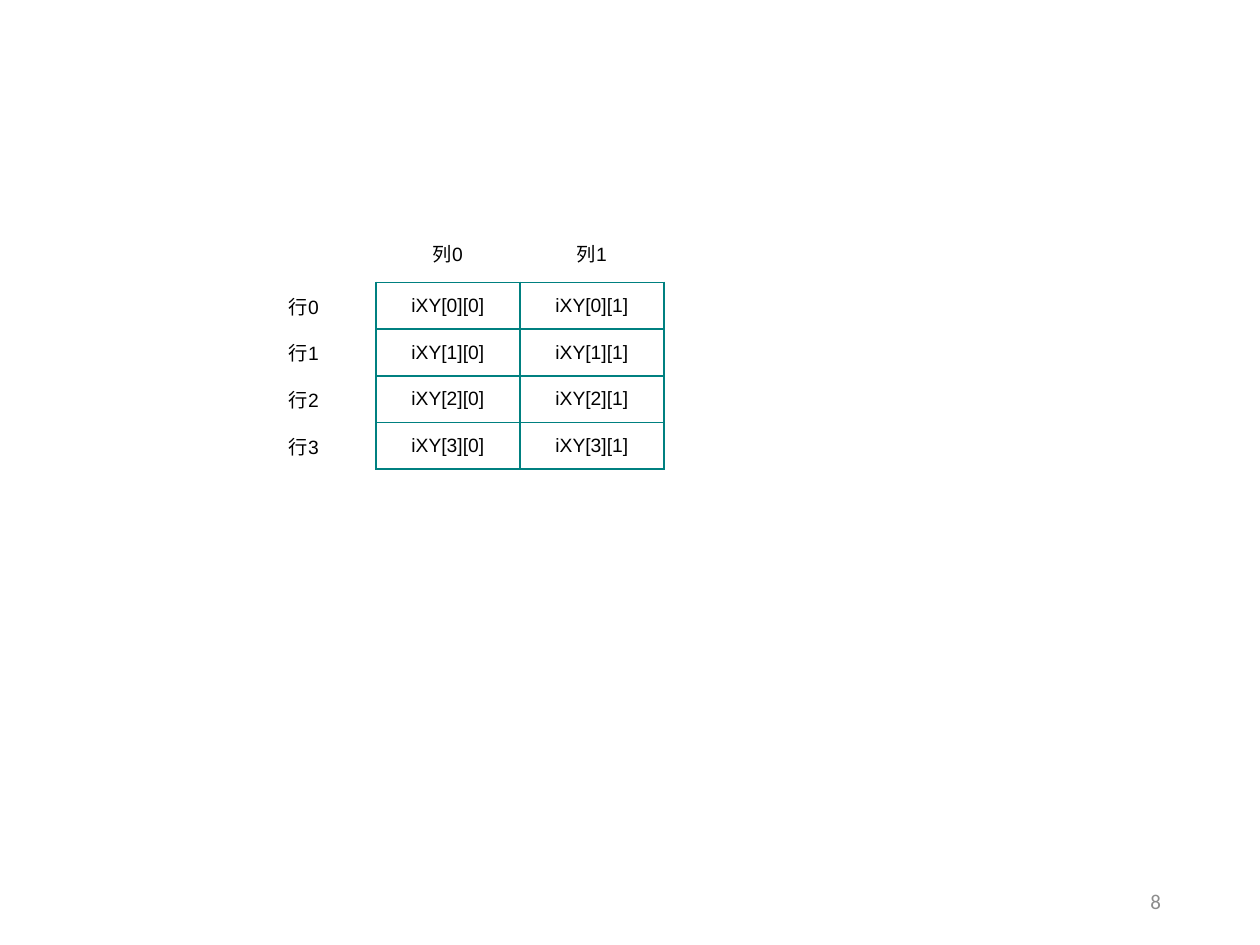
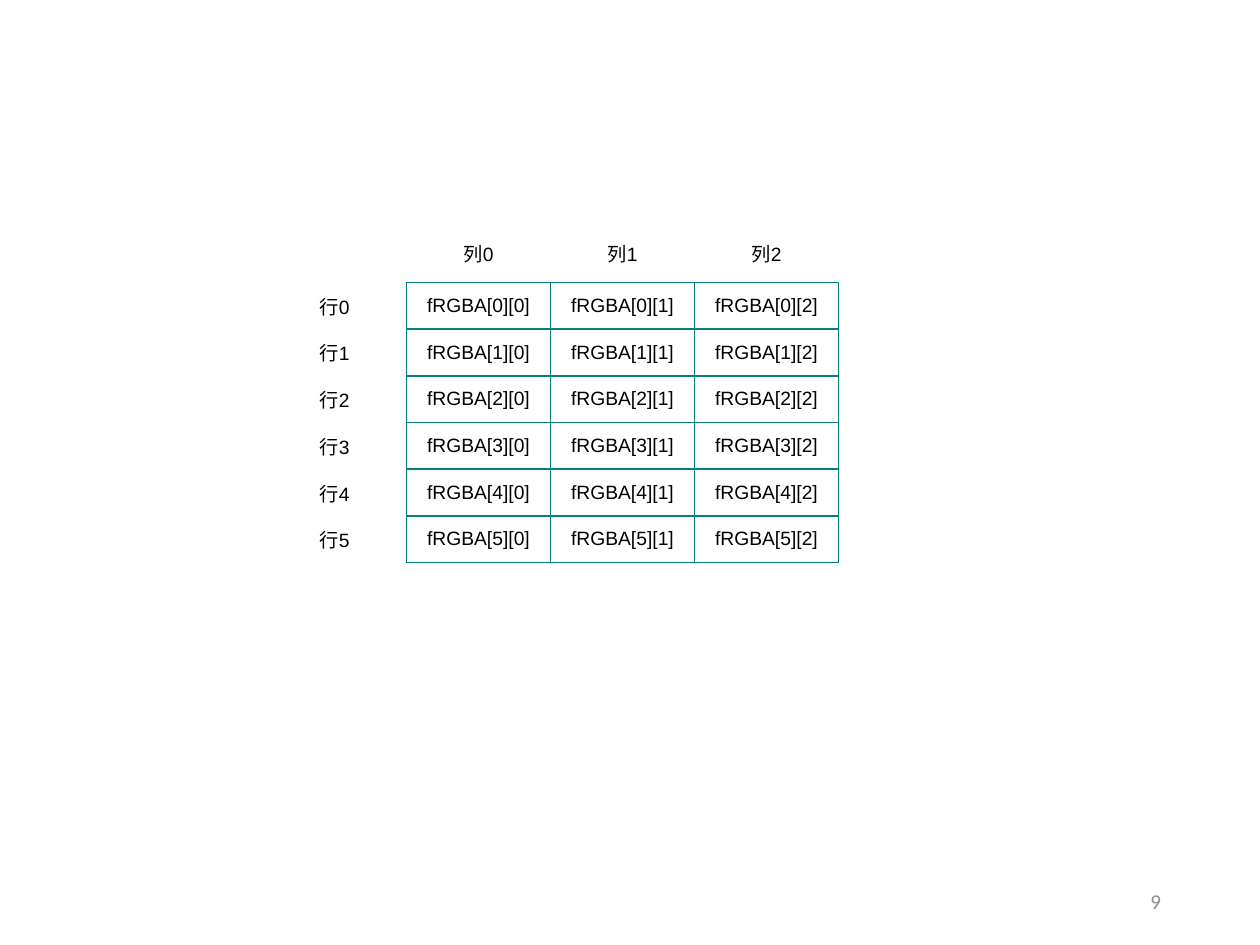
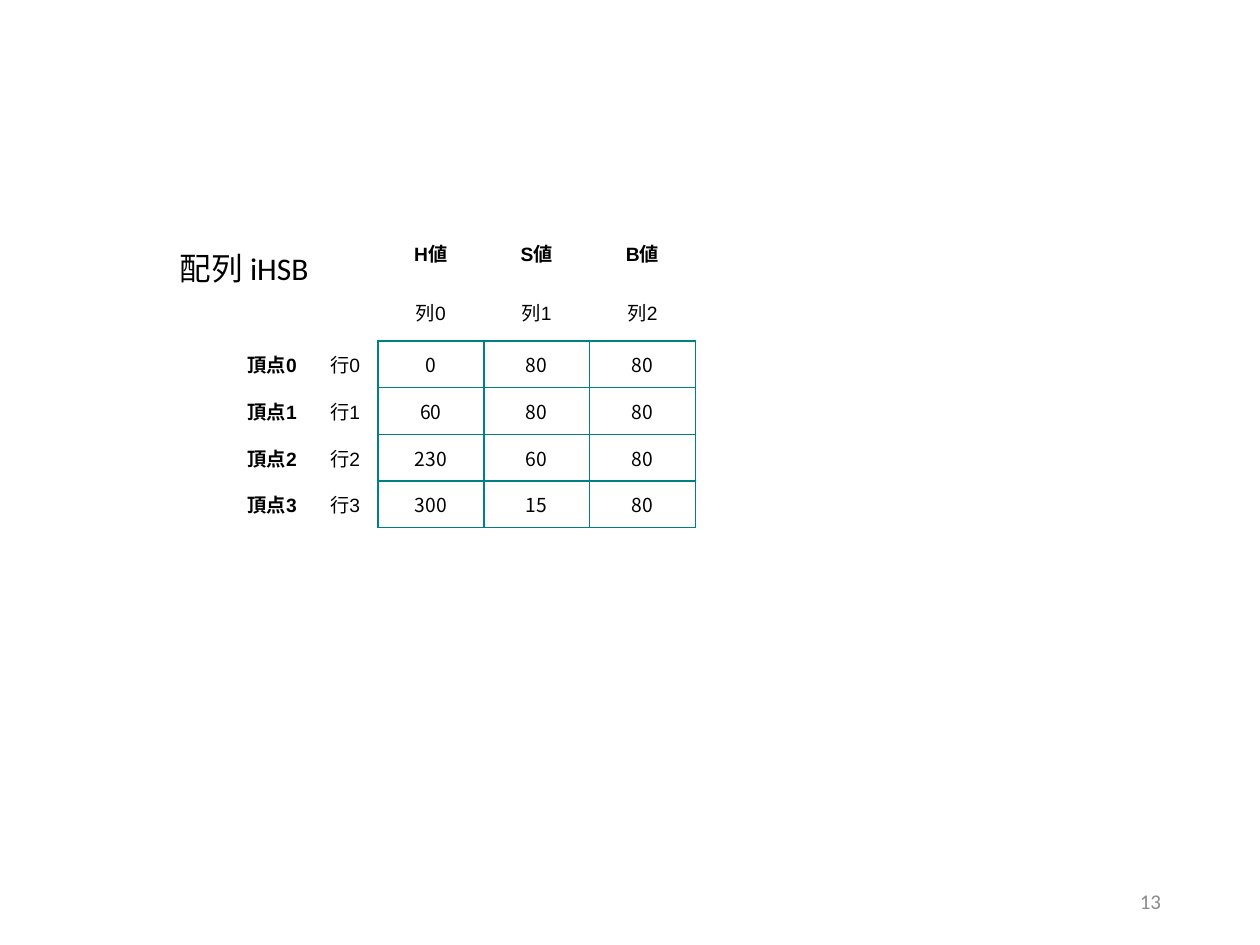
from dataclasses import dataclass
from lxml.etree import SubElement as Sub
from pptx import Presentation
from pptx.dml.color import RGBColor as Rgb
from pptx.enum.text import MSO_ANCHOR as Anchor, MSO_AUTO_SIZE as Fit, PP_ALIGN as Align
from pptx.oxml.ns import qn
from pptx.util import Pt


@dataclass(frozen=True)
class Theme:
    ink: str = "000000"
    gray: str = "8C8C8C"
    teal: str = "008080"
    sans: str = "Arial"
    body: str = "Calibri"
    asian: str = "Noto Sans CJK JP"
    cell: float = 11
    page: float = 12
    head: float = 18
    rule: float = 1


theme = Theme()


def write(frame, text, face, size, color, align, bold=False):
    para = frame.paragraphs[0]
    para.text = text
    para.alignment = align
    font = para.font
    font.name, font.size, font.bold = face, Pt(size), bold
    font.color.rgb = Rgb.from_string(color)
    Sub(para._p.pPr.find(qn("a:defRPr")), qn("a:ea"), typeface=theme.asian)


def edge(cell, side, drawn):
    line = Sub(cell._tc.get_or_add_tcPr(), qn("a:ln" + side), w=str(Pt(theme.rule)))
    if drawn:
        fill = Sub(line, qn("a:solidFill"))
        Sub(fill, qn("a:srgbClr"), val=theme.teal)
    else:
        Sub(line, qn("a:noFill"))


grids = []
for page, name, left, rows, cols in [(8, "iXY", 132.5, 4, 2), (9, "fRGBA", 150, 6, 3)]:
    cells = [[""] + [f"列{c}" for c in range(cols)]]
    for r in range(rows):
        cells.append([f"行{r}"] + [f"{name}[{r}][{c}]" for c in range(cols)])
    grids.append((page, left, [82.3] * (cols + 1), 1, 1, cells, theme.sans))

colors = [(0, 80, 80), (60, 80, 80), (230, 60, 80), (300, 15, 80)]
cells = [["", "", "H値", "S値", "B値"], ["", ""] + [f"列{c}" for c in range(3)]]
for r, color in enumerate(colors):
    cells.append([f"頂点{r}", f"行{r}"] + [str(v) for v in color])
grids.append((13, 132.5, [46, 37.5] + [60.5] * 3, 2, 2, cells, theme.asian))

deck = Presentation()
deck.slide_width, deck.slide_height = Pt(720), Pt(540)

for page, left, widths, top, side, cells, face in grids:
    slide = deck.slides.add_slide(deck.slide_layouts[6])
    box = slide.shapes.add_textbox(Pt(508.5), Pt(500.5), Pt(162), Pt(28.75))
    box.text_frame.word_wrap = True
    box.text_frame.vertical_anchor = Anchor.MIDDLE
    write(box.text_frame, str(page), theme.body, theme.page, theme.gray, Align.RIGHT)

    high = [33.4] * top + [26.7] * (len(cells) - top)
    table = slide.shapes.add_table(
        len(high), len(widths), Pt(left), Pt(128), Pt(sum(widths)), Pt(sum(high))
    ).table
    table.first_row = table.horz_banding = False
    for col, width in zip(table.columns, widths):
        col.width = Pt(width)
    for row, height in zip(table.rows, high):
        row.height = Pt(height)

    for r, line in enumerate(cells):
        for c, text in enumerate(line):
            cell = table.cell(r, c)
            data = r >= top and c >= side
            edge(cell, "L", data)
            edge(cell, "R", r >= top and c >= side - 1)
            edge(cell, "T", data)
            edge(cell, "B", r >= top - 1 and c >= side)
            cell.fill.background()
            cell.vertical_anchor = Anchor.MIDDLE
            cell.margin_left = cell.margin_right = Pt(3)
            bold = r < top - 1 or c < side - 1
            write(cell.text_frame, text, face if data else theme.sans,
                  theme.cell, theme.ink, Align.CENTER, bold)

box = slide.shapes.add_textbox(Pt(95.75), Pt(139), Pt(98), Pt(29))
box.text_frame.word_wrap = True
box.text_frame.auto_size = Fit.SHAPE_TO_FIT_TEXT
write(box.text_frame, "配列 iHSB", theme.body, theme.head, theme.ink, Align.LEFT)

deck.save("out.pptx")
